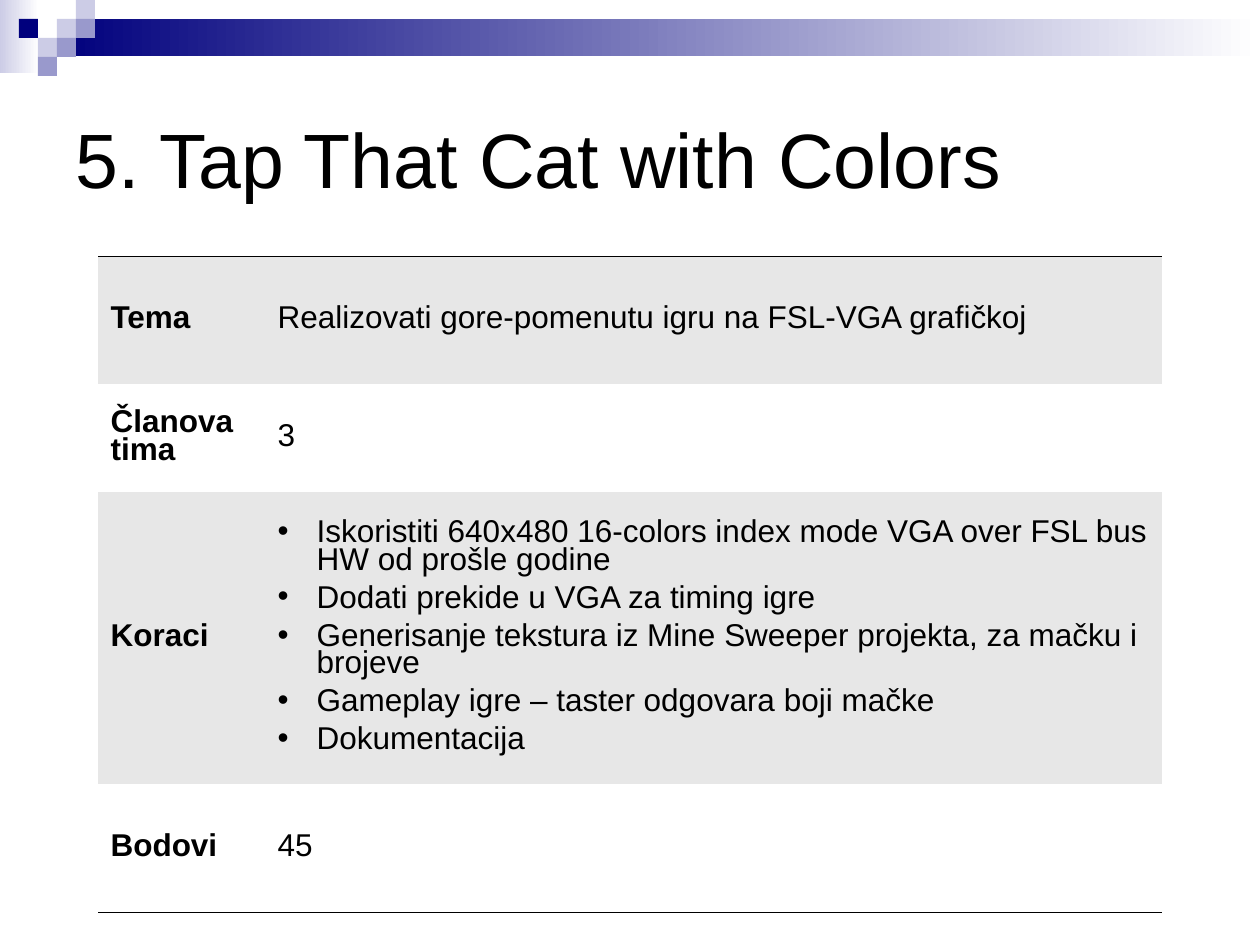
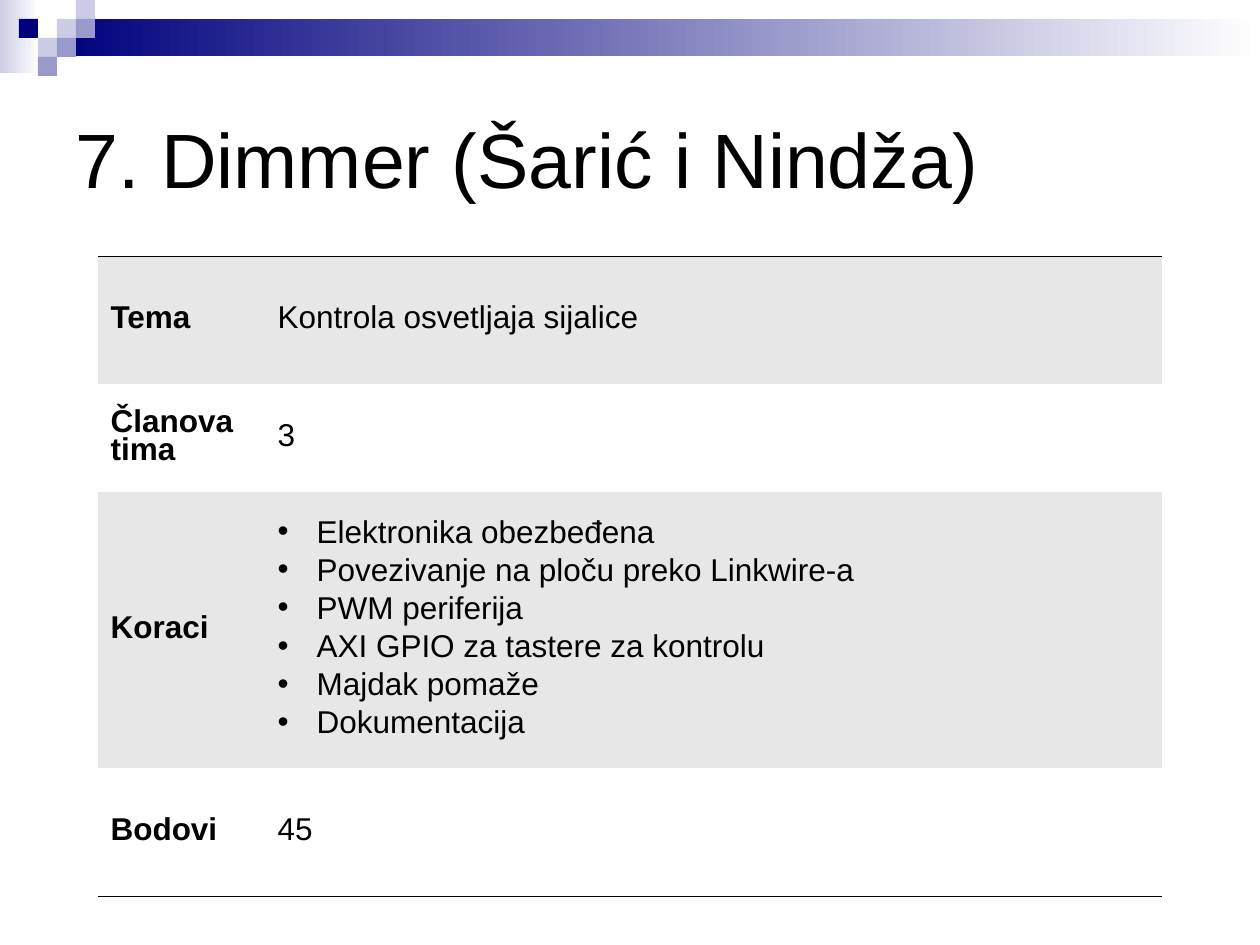
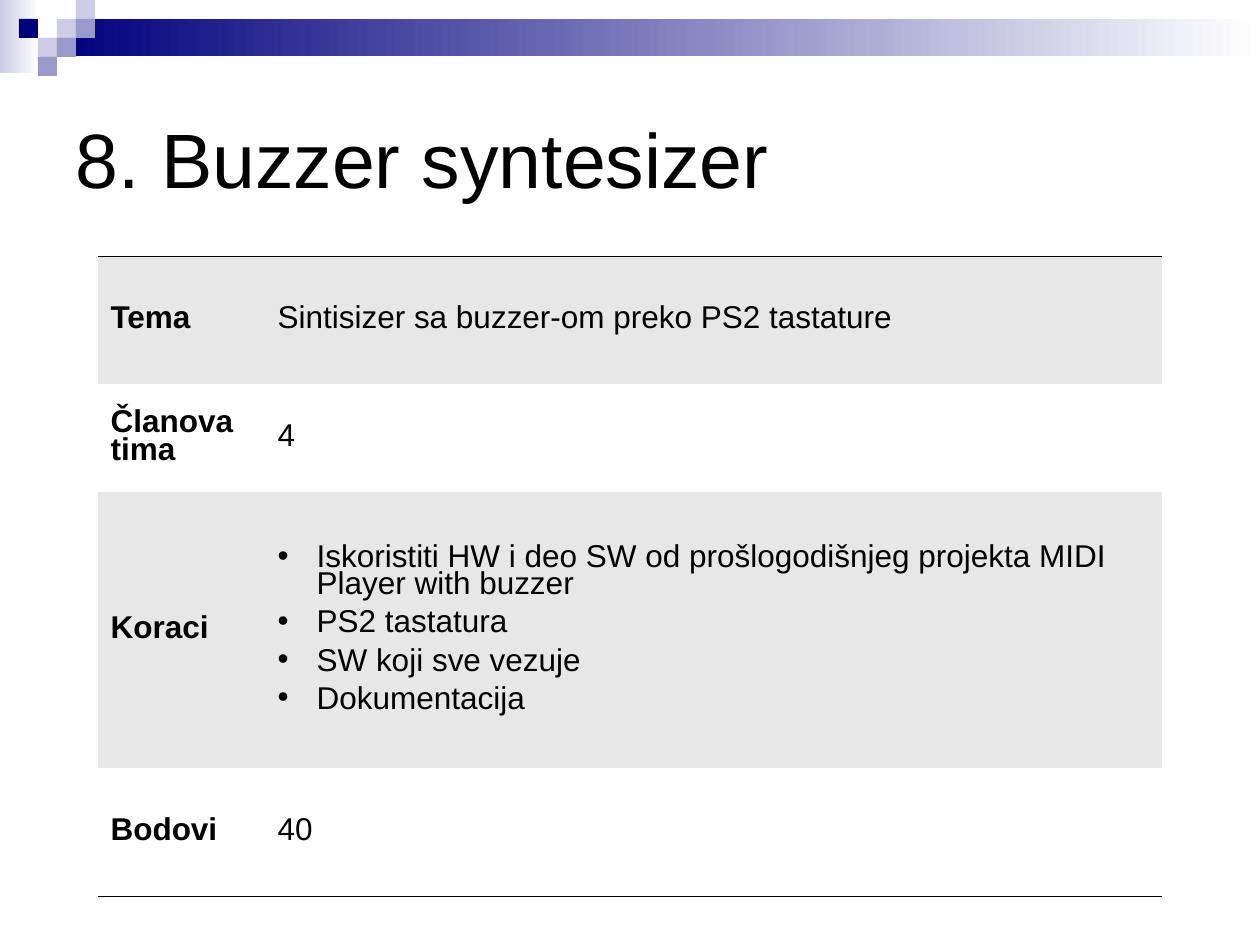
import pptx
import pptx.dml.color
import pptx.enum.shapes
import pptx.enum.text
import pptx.oxml
import pptx.oxml.ns
import pptx.util

PX = 914400 / 126  # EMU in one px
FONT = "Arial"
NAVY, VIOLET, LILAC = "00007D", "9999CC", "CCCCE6"
WHITE, BLACK, GREY = "FFFFFF", "000000", "E7E7E7"
NO_GRID_STYLE = "{2D5ABB26-0587-4C30-8999-92F81FD0307C}"

TILE = 19
TILES = [  # column, row, colour
    (3, 1, LILAC), (4, 0, LILAC), (4, 1, VIOLET), (2, 2, LILAC),
    (1, 1, NAVY), (3, 2, VIOLET), (2, 3, VIOLET),
]
BANDS = [  # left, top, width, height, first colour
    (0, 0, 39, 73, LILAC), (57, 19, 1202, 37, NAVY),
]
LABELS = ["Tema", "Članova tima", "Koraci", "Bodovi"]
PROJECTS = [  # title, topic, team size, steps, points, height of the steps row
    ("5. Tap That Cat with Colors",
     "Realizovati gore-pomenutu igru na FSL-VGA grafičkoj", "3",
     ["Iskoristiti 640x480 16-colors index mode VGA over FSL bus HW od prošle godine",
      "Dodati prekide u VGA za timing igre",
      "Generisanje tekstura iz Mine Sweeper projekta, za mačku i brojeve",
      "Gameplay igre – taster odgovara boji mačke",
      "Dokumentacija"], "45", 292),
    ("7. Dimmer (Šarić i Nindža)",
     "Kontrola osvetljaja sijalice", "3",
     ["Elektronika obezbeđena",
      "Povezivanje na ploču preko Linkwire-a",
      "PWM periferija",
      "AXI GPIO za tastere za kontrolu",
      "Majdak pomaže",
      "Dokumentacija"], "45", 276),
    ("8. Buzzer syntesizer",
     "Sintisizer sa buzzer-om preko PS2 tastature", "4",
     ["Iskoristiti HW i deo SW od prošlogodišnjeg projekta MIDI Player with buzzer",
      "PS2 tastatura",
      "SW koji sve vezuje",
      "Dokumentacija"], "40", 276),
]


def px(*lengths):
    return [pptx.util.Emu(round(length * PX)) for length in lengths]


def color(value):
    return pptx.dml.color.RGBColor.from_string(value)


prs = pptx.Presentation()
prs.slide_width, prs.slide_height = px(1260, 945)
layout = prs.slide_layouts[5]
for placeholder in list(layout.placeholders)[1:]:  # keep only the title
    layout.shapes.element.remove(placeholder.element)
slides = [prs.slides.add_slide(layout) for project in PROJECTS]

# Header bands and tiles, drawn once and moved to the layout
header = []
boxes = BANDS + [(col * TILE, row * TILE, TILE, TILE, fill) for col, row, fill in TILES]
for index, (left, top, width, height, fill) in enumerate(boxes):
    block = slides[0].shapes.add_shape(
        pptx.enum.shapes.MSO_SHAPE.RECTANGLE, *px(left, top, width, height))
    block.shadow.inherit = False
    block.line.fill.background()
    if index < len(BANDS):
        block.fill.gradient()
        block.fill.gradient_angle = 0
        for stop, shade in zip(block.fill.gradient_stops, (fill, WHITE)):
            stop.color.rgb = color(shade)
    else:
        block.fill.solid()
        block.fill.fore_color.rgb = color(fill)
    header.append(block.element)
for element in header:
    layout.shapes.element.append(element)

for slide, (name, topic, team, steps, points, steps_height) in zip(slides, PROJECTS):
    # Title
    title = slide.shapes.title
    title.left, title.top, title.width, title.height = px(63, 63, 1134, 189)
    title.text_frame.text = name
    title.text_frame.vertical_anchor = pptx.enum.text.MSO_ANCHOR.MIDDLE
    heading = title.text_frame.paragraphs[0]
    heading.alignment = pptx.enum.text.PP_ALIGN.LEFT
    heading.font.size = pptx.util.Pt(44)
    heading.font.name = FONT
    heading.font.color.rgb = color(BLACK)

    # Project table
    heights = [128, 108, steps_height, 128]
    table = slide.shapes.add_table(4, 2, *px(98, 256, 1064, sum(heights))).table
    table.first_row = table.horz_banding = False
    table._tbl.tblPr.find(pptx.oxml.ns.qn("a:tableStyleId")).text = NO_GRID_STYLE
    for column, width in zip(table.columns, px(167, 897)):
        column.width = width
    for row, height in zip(table.rows, px(*heights)):
        row.height = height

    contents = [[topic], [team], steps, [points]]
    for r, (label, content) in enumerate(zip(LABELS, contents)):
        for c, lines in enumerate(([label], content)):
            cell = table.cell(r, c)
            cell.text = "\n".join(lines)
            cell.vertical_anchor = pptx.enum.text.MSO_ANCHOR.MIDDLE
            cell.fill.solid()
            cell.fill.fore_color.rgb = color(WHITE if r % 2 else GREY)
            for paragraph in cell.text_frame.paragraphs:
                paragraph.line_spacing = 0.78
                if lines is steps:
                    paragraph.space_after = pptx.util.Pt(6)
                    hang, = px(39)
                    properties = paragraph._p.get_or_add_pPr()
                    properties.set("marL", str(hang))
                    properties.set("indent", str(-hang))
                    for bullet in ('buFont typeface="Arial"', 'buChar char="•"'):
                        properties.append(pptx.oxml.parse_xml(
                            f'<a:{bullet} {pptx.oxml.ns.nsdecls("a")}/>'))
                paragraph.font.size = pptx.util.Pt(18)
                paragraph.font.name = FONT
                paragraph.font.bold = c == 0
                paragraph.font.color.rgb = color(BLACK)

            # Hairlines above the first row and below the last
            if r in (0, 3):
                side = "lnB" if r else "lnT"
                cell._tc.get_or_add_tcPr().insert(0, pptx.oxml.parse_xml(
                    f'<a:{side} {pptx.oxml.ns.nsdecls("a")} w="762"><a:solidFill>'
                    f'<a:srgbClr val="{BLACK}"/></a:solidFill></a:{side}>'))

prs.save("out.pptx")
